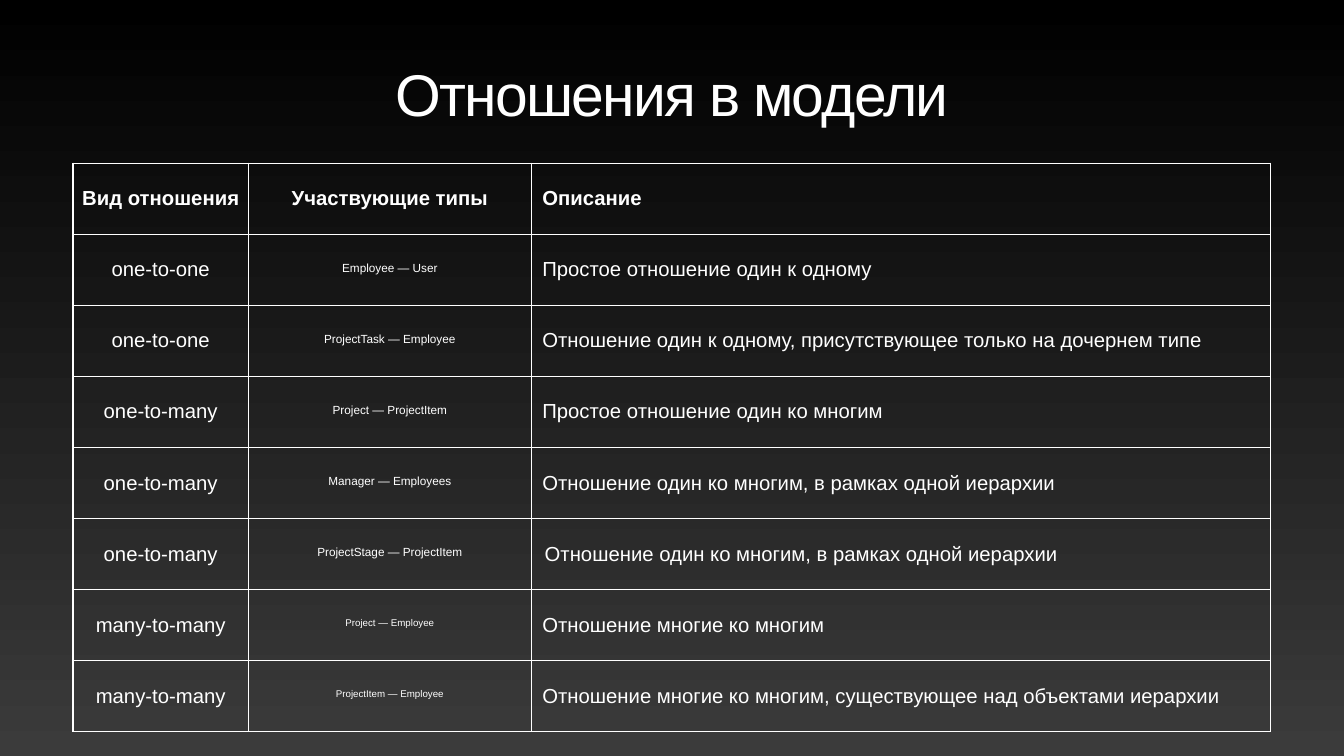
from typing import NamedTuple

from lxml.etree import SubElement
from pptx import Presentation
from pptx.dml.color import RGBColor
from pptx.enum.text import MSO_ANCHOR as Anchor, PP_ALIGN as Align
from pptx.oxml.ns import qn
from pptx.util import Cm, Pt

FONT = "Arial"
WHITE = "FFFFFF"
WIDTHS = (8.84, 14.25, 37.26)
HIGH = 3.58


class Row(NamedTuple):
    kind: str
    types: str
    note: str
    size: int = 29       # size of the types text
    slant: bool = False  # italic dash between the types
    inset: float = 0.03  # margins of the note


HEAD = Row("Вид отношения", "Участвующие типы", "Описание")
ROWS = [
    HEAD,
    Row("one-to-one", "Employee — User", "Простое отношение один к одному"),
    Row("one-to-one", "ProjectTask — Employee",
        "Отношение один к одному, присутствующее только на дочернем типе"),
    Row("one-to-many", "Project — ProjectItem", "Простое отношение один ко многим"),
    Row("one-to-many", "Manager — Employees",
        "Отношение один ко многим, в рамках одной иерархии"),
    Row("one-to-many", "ProjectStage — ProjectItem",
        "Отношение один ко многим, в рамках одной иерархии", inset=0.15),
    Row("many-to-many", "Project — Employee", "Отношение многие ко многим", 24, True),
    Row("many-to-many", "ProjectItem — Employee",
        "Отношение многие ко многим, существующее над объектами иерархии", 24, True),
]


def color(code: str) -> RGBColor:
    return RGBColor.from_string(code)


def shade(fill, top: str, end: str) -> None:
    """Fill with a gradient that runs downwards."""
    fill.gradient()
    fill.gradient_angle = 270
    for stop, code in zip(fill.gradient_stops, (top, end)):
        stop.color.rgb = color(code)


def pad(box, size: float) -> None:
    box.margin_left = box.margin_right = Cm(size)
    box.margin_top = box.margin_bottom = Cm(size)


def add_title(slide, text: str) -> None:
    box = slide.shapes.add_textbox(Cm(3.53), Cm(2.26), Cm(60.68), Cm(4.32))
    frame = box.text_frame
    frame.word_wrap = True
    frame.vertical_anchor = Anchor.BOTTOM
    pad(frame, 0.15)
    para = frame.paragraphs[0]
    para.alignment = Align.CENTER
    para.line_spacing = 0.8
    para.font.name, para.font.size = FONT, Pt(84)
    run = para.add_run()
    run.text = text
    shade(run.font.fill, WHITE, "929292")
    run.font._element.set("spc", "-250")


def add_edges(cell, sides: dict[str, int]) -> None:
    """Draw the cell borders, given as side and width in points."""
    props = cell._tc.get_or_add_tcPr()
    for side, width in sides.items():
        line = SubElement(props, qn(f"a:ln{side}"), w=str(Pt(width)))
        fill = SubElement(line, qn("a:solidFill"))
        SubElement(fill, qn("a:srgbClr"), val=WHITE)


def fill_cell(cell, parts: list[str], size: int, bold: bool,
              raised: bool, slant: bool) -> None:
    para = cell.text_frame.paragraphs[0]
    font = para.font
    font.name, font.size, font.bold = FONT, Pt(size), bold
    font.color.rgb = color(WHITE)
    for part in parts:
        run = para.add_run()
        run.text = part
        if raised:
            run.font._element.set("baseline", "24000")
        if slant and part == "—":
            run.font.italic = True


def add_grid(slide, rows: list[Row]) -> None:
    last = len(rows) - 1
    frame = slide.shapes.add_table(len(rows), len(WIDTHS), Cm(3.68), Cm(8.23),
                                   Cm(sum(WIDTHS)), Cm(HIGH * len(rows)))
    table = frame.table
    table.first_row = table.horz_banding = False
    for col, width in zip(table.columns, WIDTHS):
        col.width = Cm(width)
    for y, row in enumerate(rows):
        table.rows[y].height = Cm(HIGH)
        for x, text in enumerate((row.kind, row.types, row.note)):
            cell = table.cell(y, x)
            types, note = x == 1, x == 2
            cell.vertical_anchor = Anchor.MIDDLE
            pad(cell, row.inset if note else 0.03)
            add_edges(cell, {"L": 2 if x == 0 else 1, "R": 2 if note else 1,
                             "T": 2 if y == 0 else 1, "B": 2 if y == last else 1})
            cell.fill.background()
            slant = types and row.slant
            parts = list(text.partition("—")) if slant else [text]
            fill_cell(cell, parts, row.size if types else 29, y == 0,
                      types and y > 0, slant)
            para = cell.text_frame.paragraphs[0]
            para.alignment = Align.LEFT if note else Align.CENTER
            if note:
                para._p.get_or_add_pPr().set("indent", str(Cm(0.53)))


def main() -> None:
    deck = Presentation()
    deck.slide_width, deck.slide_height = Cm(67.73), Cm(38.1)
    slide = deck.slides.add_slide(deck.slide_layouts[6])
    shade(slide.background.fill, "000000", "3B3B3B")
    add_title(slide, "Отношения в модели")
    add_grid(slide, ROWS)
    deck.save("out.pptx")


if __name__ == "__main__":
    main()
